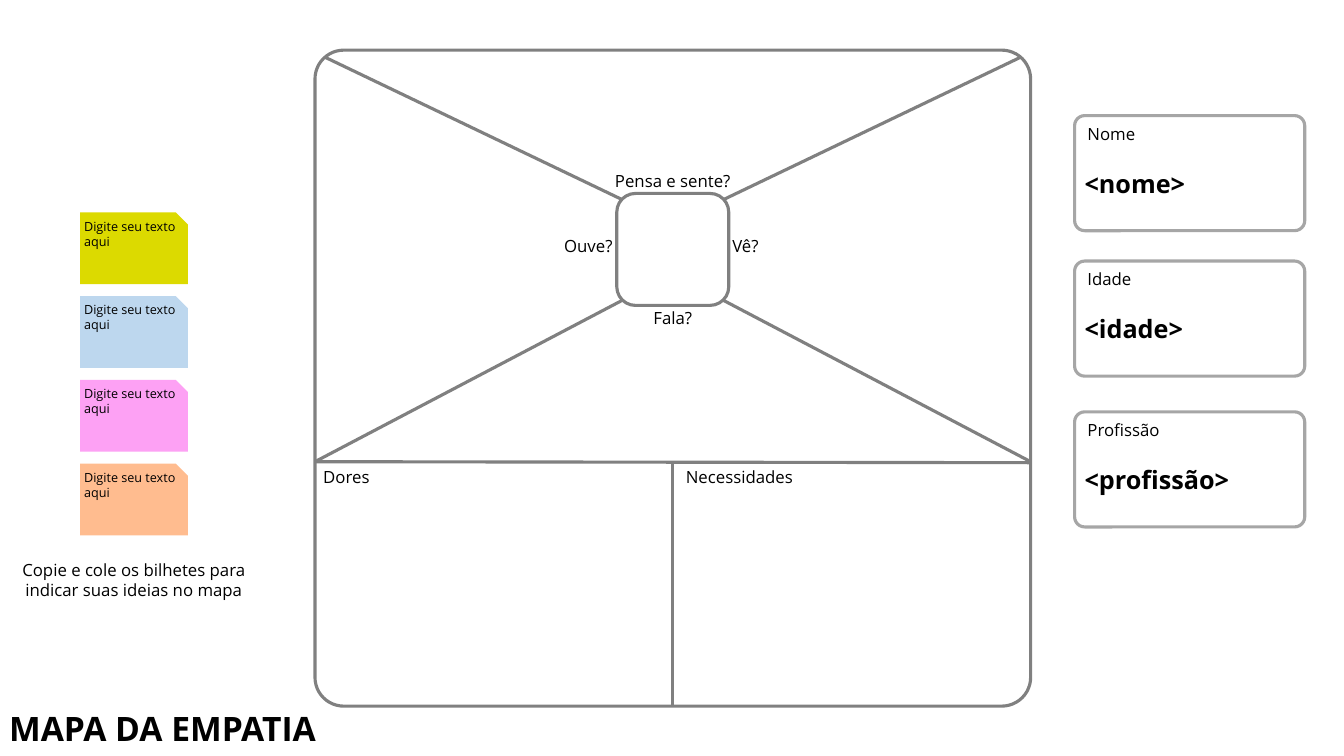
from lxml.etree import SubElement
from pptx import Presentation
from pptx.dml.color import RGBColor
from pptx.enum.shapes import MSO_CONNECTOR, MSO_SHAPE
from pptx.enum.text import MSO_ANCHOR, PP_ALIGN
from pptx.oxml.ns import qn
from pptx.util import Pt

FONT = "Open Sans"
BLACK = RGBColor(0x00, 0x00, 0x00)
MAP_GRAY = RGBColor(0x80, 0x80, 0x80)
CARD_GRAY = RGBColor(0xA6, 0xA6, 0xA6)
NOTE_COLORS = [
    RGBColor(0xDC, 0xDA, 0x00),
    RGBColor(0xBD, 0xD7, 0xEE),
    RGBColor(0xFD, 0xA1, 0xF4),
    RGBColor(0xFF, 0xBC, 0x8F),
]
CARDS = [
    ("Nome", "<nome>", 82.6),
    ("Idade", "<idade>", 186.5),
    ("Profissão", "<profissão>", 294.2),
]


def write(shape, text, size, align=PP_ALIGN.LEFT, bold=False):
    """Fill a shape with one top-anchored paragraph."""
    frame = shape.text_frame
    frame.text = text
    frame.word_wrap = True
    frame.vertical_anchor = MSO_ANCHOR.TOP
    para = frame.paragraphs[0]
    para.alignment = align
    font = para.runs[0].font
    font.name, font.size, font.bold = FONT, Pt(size), bold
    font.color.rgb = BLACK


def add_label(shapes, text, box, size=12, align=PP_ALIGN.LEFT, bold=False):
    """Add a text box."""
    label = shapes.add_textbox(*map(Pt, box))
    write(label, text, size, align, bold)


def add_frame(shapes, box, color, corner):
    """Add an unfilled rounded rectangle."""
    frame = shapes.add_shape(MSO_SHAPE.ROUNDED_RECTANGLE, *map(Pt, box))
    frame.adjustments[0] = corner
    frame.shadow.inherit = False
    frame.fill.background()
    frame.line.color.rgb = color
    frame.line.width = Pt(2.25)
    return frame


def add_divider(shapes, start, end):
    """Add a straight line of the map."""
    divider = shapes.add_connector(MSO_CONNECTOR.STRAIGHT, *map(Pt, start + end))
    divider.line.color.rgb = MAP_GRAY
    divider.line.width = Pt(2.25)
    SubElement(divider._element.spPr, qn("a:effectLst"))
    return divider


def add_title(page, box):
    """Place and format the title."""
    title = page.shapes.title
    title.left, title.top, title.width, title.height = map(Pt, box)
    write(title, "MAPA DA EMPATIA", 24, bold=True)


def add_map(page, box):
    """Draw the empathy map with its dividers and labels."""
    left, top, width, height = box
    right, bottom = left + width, top + height
    center, floor = left + width / 2, top + 294
    core_side, core_top = 80, top + 102.4
    core_left, core_right = center - core_side / 2, center + core_side / 2
    core_bottom = core_top + core_side
    shapes = page.shapes.add_group_shape().shapes

    add_frame(shapes, (core_left, core_top, core_side, core_side), MAP_GRAY, 0.167)
    outline = add_frame(shapes, box, MAP_GRAY, 0.044)
    add_divider(shapes, (left, floor), (right, floor + 0.7))
    stem = add_divider(shapes, (center, floor + 0.7), (center, bottom))
    stem.end_connect(outline, 2)
    for edge, core_edge, inward in ((left, core_left, 1), (right, core_right, -1)):
        add_divider(shapes, (edge + 7 * inward, top + 5),
                    (core_edge + 3 * inward, core_top + 4))
        add_divider(shapes, (edge, floor), (core_edge + 4.5 * inward, core_bottom - 4))

    side_top = core_top + 26.7
    add_label(shapes, "Dores", (left - 1.2, floor, 79, 21.8))
    add_label(shapes, "Necessidades", (center + 2.2, floor, 121, 21.8))
    add_label(shapes, "Ouve?", (core_left - 75, side_top, 79, 21.8), align=PP_ALIGN.RIGHT)
    add_label(shapes, "Vê?", (core_right - 4.6, side_top, 79, 21.8))
    add_label(shapes, "Pensa e sente?", (center - 60, core_top - 20, 120, 21.8),
              align=PP_ALIGN.CENTER)
    add_label(shapes, "Fala?", (center - 30, core_bottom - 2.2, 60, 21.8),
              align=PP_ALIGN.CENTER)


def add_notes(page, box):
    """Stack the sticky notes and put the hint below them."""
    left, top, width, height = box
    for index, color in enumerate(NOTE_COLORS):
        note = page.shapes.add_shape(
            MSO_SHAPE.SNIP_1_RECTANGLE,
            *map(Pt, (left, top + 59.8 * index, width, height)))
        note.shadow.inherit = False
        note.fill.solid()
        note.fill.fore_color.rgb = color
        note.line.fill.background()
        frame = note.text_frame
        frame.margin_left = frame.margin_right = frame.margin_bottom = Pt(2.88)
        frame.margin_top = 0
        write(note, "Digite seu texto aqui", 9)
    add_label(page.shapes, "Copie e cole os bilhetes para indicar suas ideias no mapa",
              (left - 49, top + 244.2, 175, 36), align=PP_ALIGN.CENTER)


def add_card(page, caption, value, box):
    """Draw one persona card."""
    left, top, width, height = box
    shapes = page.shapes.add_group_shape().shapes
    write(add_frame(shapes, box, CARD_GRAY, 0.088), caption, 12)
    add_label(shapes, value, (left, top + 33.8, width - 16, 29), 18, bold=True)


def main():
    """Build the slide."""
    deck = Presentation()
    deck.slide_width, deck.slide_height = Pt(960), Pt(540)
    page = deck.slides.add_slide(deck.slide_layouts[5])
    add_title(page, (-0.7, 502.2, 302.4, 36))
    add_map(page, (225, 35.8, 511.2, 468.6))
    add_notes(page, (57.2, 151.8, 77, 51.2))
    for caption, value, top in CARDS:
        add_card(page, caption, value, (767.6, top, 164.4, 82.2))
    deck.save("out.pptx")


if __name__ == "__main__":
    main()
